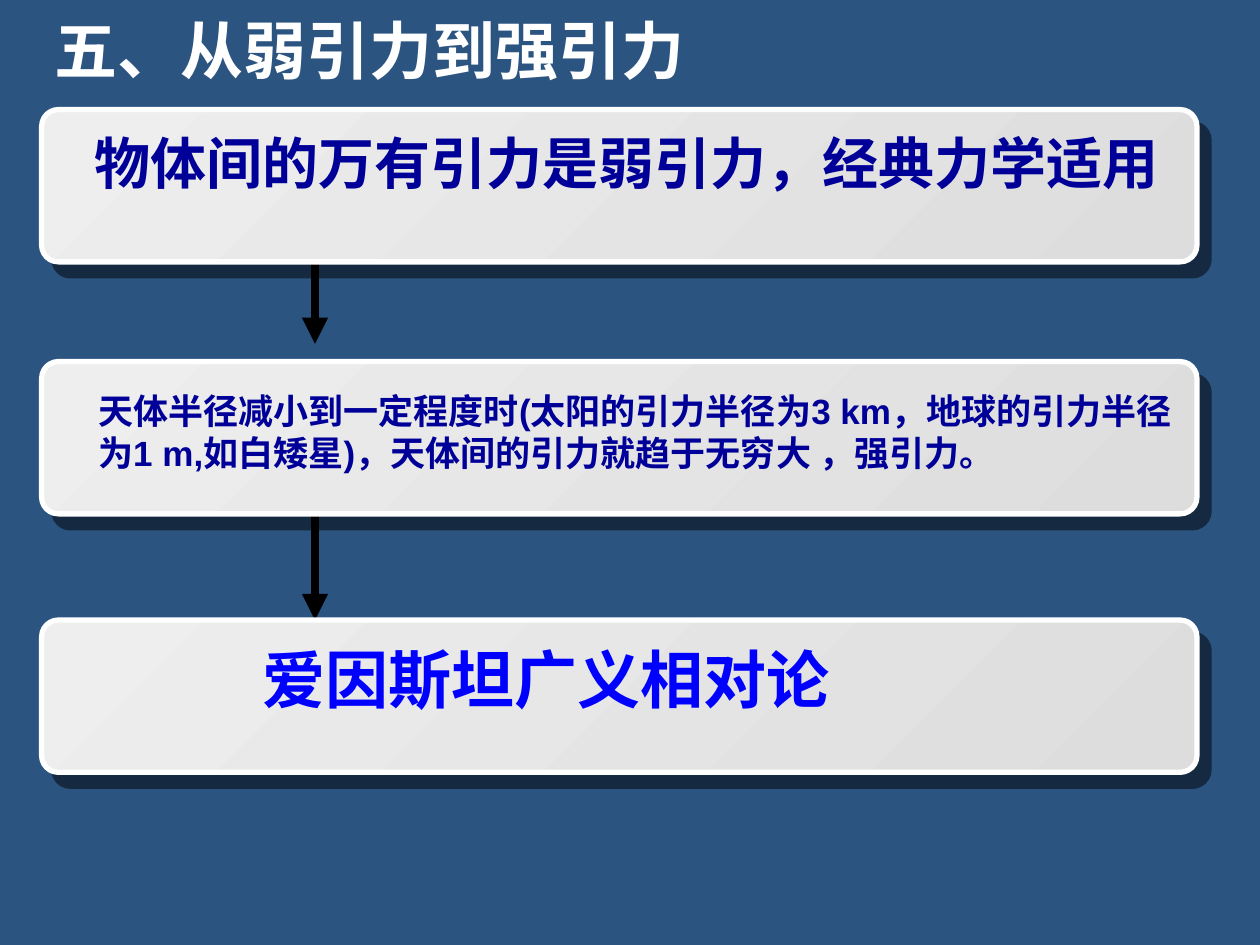
from lxml import etree
from pptx import Presentation
from pptx.dml.color import RGBColor
from pptx.enum.shapes import MSO_CONNECTOR, MSO_SHAPE
from pptx.enum.text import MSO_AUTO_SIZE
from pptx.oxml import parse_xml
from pptx.oxml.ns import nsdecls, qn
from pptx.util import Cm, Pt

ROUNDED = MSO_SHAPE.ROUNDED_RECTANGLE
STRAIGHT = MSO_CONNECTOR.STRAIGHT
GROW = MSO_AUTO_SIZE.SHAPE_TO_FIT_TEXT

BACKGROUND = RGBColor(0x2B, 0x54, 0x81)
WHITE = RGBColor(0xFF, 0xFF, 0xFF)
BLACK = RGBColor(0x00, 0x00, 0x00)
NAVY = RGBColor(0x00, 0x00, 0x99)
BLUE = RGBColor(0x00, 0x00, 0xFF)
CARD_SHADES = (RGBColor(0xEE, 0xEE, 0xEE), RGBColor(0xDD, 0xDD, 0xDD))

FONT = "Arial"
CARD_LEFT, CARD_WIDTH, CARD_HEIGHT = 0.84, 23.29, 3.07
CARD_TOPS = (2.21, 7.29, 12.5)
ARROW_X = 6.35
ARROW_ENDS = (6.93, 12.5)

STATEMENTS = (
    ("物体间的万有引力是弱引力，经典力学适用",
     dict(left=1.65, top=2.46, width=22.05, height=1.6, size=32, color=NAVY)),
    ("天体半径减小到一定程度时(太阳的引力半径为3 km，地球的引力半径为1 m,"
     "如白矮星)，天体间的引力就趋于无穷大 ，强引力。",
     dict(left=1.73, top=7.72, width=22.17, height=1.96, size=20, color=NAVY,
          wrap=True)),
    ("爱因斯坦广义相对论",
     dict(left=5.05, top=12.78, width=11.99, height=1.78, size=36, color=BLUE)),
)


def add_text(shapes, text, *, left, top, width, height, size, color, wrap=False):
    """Add a bold text box, measured in centimetres."""
    box = shapes.add_textbox(Cm(left), Cm(top), Cm(width), Cm(height))
    frame = box.text_frame
    frame.word_wrap = wrap
    frame.auto_size = GROW
    run = frame.paragraphs[0].add_run()
    run.text = text
    run.font.name = FONT
    run.font.size = Pt(size)
    run.font.bold = True
    run.font.color.rgb = color


def add_shadow(card):
    """Give a card a hard, half-transparent shadow to its lower right."""
    card._element.spPr.append(parse_xml(
        f'<a:effectLst {nsdecls("a")}>'
        f'<a:outerShdw blurRad="0" dist="{Pt(10.6)}" dir="{49 * 60000}" '
        'algn="ctr" rotWithShape="0"><a:srgbClr val="000000">'
        '<a:alpha val="50000"/></a:srgbClr></a:outerShdw></a:effectLst>'))


def add_card(shapes, top):
    """Add a rounded panel with a diagonal gradient."""
    card = shapes.add_shape(
        ROUNDED, Cm(CARD_LEFT), Cm(top), Cm(CARD_WIDTH), Cm(CARD_HEIGHT))
    card.adjustments[0] = 0.11
    card.fill.gradient()
    card.fill.gradient_angle = 315
    for stop, shade in zip(card.fill.gradient_stops, CARD_SHADES):
        stop.color.rgb = shade
    card.line.color.rgb = WHITE
    card.line.width = Pt(3)
    add_shadow(card)


def add_down_arrow(shapes, start, end):
    """Add a thick vertical arrow between two heights."""
    arrow = shapes.add_connector(
        STRAIGHT, Cm(ARROW_X), Cm(start), Cm(ARROW_X), Cm(end))
    arrow.line.color.rgb = BLACK
    arrow.line.width = Pt(5)
    etree.SubElement(arrow.line._get_or_add_ln(), qn("a:tailEnd"), type="triangle")
    etree.SubElement(arrow._element.spPr, qn("a:effectLst"))


def main():
    """Build the slide and save it."""
    deck = Presentation()
    deck.slide_width, deck.slide_height = Cm(25.4), Cm(19.05)
    slide = deck.slides.add_slide(deck.slide_layouts[6])
    background = slide.background.fill
    background.solid()
    background.fore_color.rgb = BACKGROUND

    add_text(slide.shapes, "五、从弱引力到强引力", left=0.84, top=0.1,
             width=13.26, height=1.78, size=36, color=WHITE)
    for start, end in zip(CARD_TOPS, ARROW_ENDS):
        add_down_arrow(slide.shapes, start + CARD_HEIGHT, end)
    for top, (statement, layout) in zip(CARD_TOPS, STATEMENTS):
        step = slide.shapes.add_group_shape()
        add_card(step.shapes, top)
        add_text(step.shapes, statement, **layout)
    deck.save("out.pptx")


if __name__ == "__main__":
    main()
